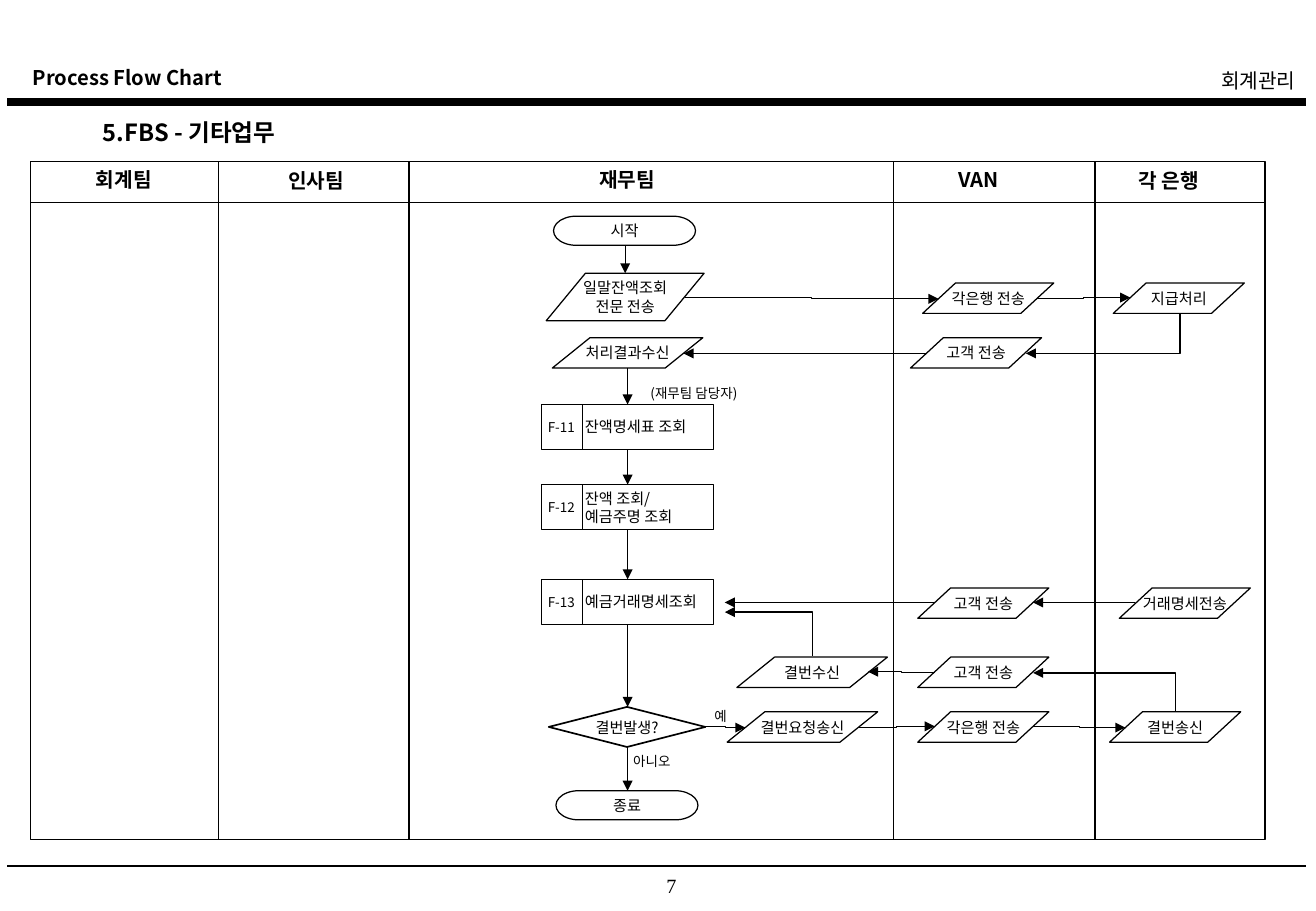
import pptx
import pptx.util
import pptx.dml.color
import pptx.enum.shapes
import pptx.enum.text
import pptx.oxml
import pptx.oxml.ns
from dataclasses import dataclass

Inches = pptx.util.Inches
Kind = pptx.enum.shapes.MSO_SHAPE
Line = pptx.enum.shapes.MSO_CONNECTOR
Align = pptx.enum.text.PP_ALIGN
Anchor = pptx.enum.text.MSO_ANCHOR
qn = pptx.oxml.ns.qn


@dataclass
class Theme:
    ink = pptx.dml.color.RGBColor(0, 0, 0)
    korean = "Noto Sans CJK KR"
    data = "Lato"
    number = "Times New Roman"
    title = 14
    heading = 12
    node = 9
    note = 8
    thin = 0.75
    medium = 1
    thick = 4.5


theme = Theme()
deck = pptx.Presentation()
deck.slide_width, deck.slide_height = Inches(10.84), Inches(7.5)
page = deck.slides.add_slide(deck.slide_layouts[6])


def write(kind, at, text, size, align=Align.CENTER, font=theme.korean, bold=False,
          weight=theme.thin, slant=None, pad=0.1):
    """Add text at a place, in an outlined shape or, when kind is None, a text box."""
    place = [Inches(value) for value in at]
    if kind is None:
        box = page.shapes.add_textbox(*place)
    else:
        box = page.shapes.add_shape(kind, *place)
        box.shadow.inherit = False
        box.fill.background()
        box.line.color.rgb = theme.ink
        box.line.width = pptx.util.Pt(weight)
        if slant:
            box.adjustments[0] = slant
    frame = box.text_frame
    layout = {"word_wrap": kind is None, "margin_left": Inches(pad), "margin_right": Inches(pad),
              "margin_top": Inches(0.05), "margin_bottom": Inches(0.05),
              "vertical_anchor": Anchor.TOP if kind is None else Anchor.MIDDLE}
    for name, value in layout.items():
        setattr(frame, name, value)
    for index, words in enumerate(text.split("\n") if text else []):
        para = frame.add_paragraph() if index else frame.paragraphs[0]
        para.alignment = align
        span = para.add_run()
        span.text = words
        for name, value in {"name": font, "size": pptx.util.Pt(size), "bold": bold}.items():
            setattr(span.font, name, value)
        span.font.color.rgb = theme.ink
        east = pptx.oxml.parse_xml(f'<a:ea {pptx.oxml.ns.nsdecls("a")} typeface="{theme.korean}"/>')
        span.font._element.find(qn("a:latin")).addnext(east)
    return box


def link(kind, x1, y1, x2, y2, weight=theme.thin, arrow=False):
    """Add a line between two points, with an arrowhead at its end if asked."""
    line = page.shapes.add_connector(kind, *[Inches(value) for value in (x1, y1, x2, y2)])
    line.line.color.rgb = theme.ink
    line.line.width = pptx.util.Pt(weight)
    if arrow:
        head = f'<a:tailEnd {pptx.oxml.ns.nsdecls("a")} type="triangle"/>'
        line.line._get_or_add_ln().append(pptx.oxml.parse_xml(head))
    effects = f'<a:effectLst {pptx.oxml.ns.nsdecls("a")}/>'
    line._element.spPr.append(pptx.oxml.parse_xml(effects))
    return line


# Page header and footer
write(None, (0.17, 0.49, 4.35, 0.3), "Process Flow Chart", theme.heading, Align.LEFT, bold=True)
write(None, (6.08, 0.51, 4.69, 0.5), "회계관리", theme.heading, Align.RIGHT)
link(Line.STRAIGHT, 0.06, 0.84, 10.76, 0.84, theme.thick)
link(Line.STRAIGHT, 0.06, 7.13, 10.76, 7.13, theme.medium)
write(None, (5.14, 7.14, 0.78, 0.27), "7", theme.heading, font=theme.number)
write(None, (0.75, 0.92, 2.3, 0.34), "5.FBS - 기타업무", theme.title, Align.LEFT, bold=True)

# Swimlanes
write(Kind.RECTANGLE, (0.25, 1.33, 10.17, 5.58), "", theme.node)
link(Line.STRAIGHT, 0.25, 1.67, 10.42, 1.67)
for x in (1.8, 3.37, 7.36, 9.02):
    link(Line.STRAIGHT, x, 1.33, x, 6.91)
for left, top, width, team in [(0.25, 1.33, 1.54, "회계팀"), (1.95, 1.34, 1.31, "인사팀"),
                               (4, 1.33, 2.33, "재무팀"), (7.1, 1.33, 1.92, "VAN"),
                               (8.88, 1.34, 1.5, "각 은행")]:
    write(None, (left, top, width, 0.3), team, theme.heading, bold=True)

# Start, end and decision
write(Kind.FLOWCHART_TERMINATOR, (4.56, 1.78, 1.17, 0.24), "시작", theme.node)
write(Kind.FLOWCHART_TERMINATOR, (4.58, 6.51, 1.17, 0.24), "종료", theme.node)
write(Kind.DIAMOND, (4.52, 5.82, 1.29, 0.33), "결번발생?", theme.node, weight=theme.medium)

# Data steps: the slant depends on the width
slants = {1.3: 0.826, 1.24: 1.241, 1.08: 1.083}
for left, top, width, height, step in [
        (4.5, 2.25, 1.3, 0.39, "일말잔액조회\n전문 전송"),
        (4.55, 2.78, 1.24, 0.25, "처리결과수신"),
        (7.6, 2.33, 1.08, 0.25, "각은행 전송"),
        (9.17, 2.33, 1.08, 0.25, "지급처리"),
        (7.5, 2.78, 1.08, 0.25, "고객 전송"),
        (7.56, 4.84, 1.08, 0.25, "고객 전송"),
        (9.22, 4.84, 1.08, 0.25, "거래명세전송"),
        (6.07, 5.41, 1.24, 0.25, "결번수신"),
        (7.56, 5.41, 1.08, 0.25, "고객 전송"),
        (5.99, 5.86, 1.24, 0.25, "결번요청송신"),
        (7.56, 5.86, 1.08, 0.25, "각은행 전송"),
        (9.14, 5.86, 1.08, 0.25, "결번송신")]:
    write(Kind.PARALLELOGRAM, (left, top, width, height), step, theme.node,
          font=theme.data, slant=slants[width])

# Numbered processes
for top, code, process in [(3.33, "F-11", "잔액명세표 조회"),
                           (3.99, "F-12", "잔액 조회/\n예금주명 조회"),
                           (4.77, "F-13", "예금거래명세조회")]:
    write(Kind.FLOWCHART_PROCESS, (4.46, top, 1.42, 0.37), "", theme.node)
    link(Line.STRAIGHT, 4.8, top, 4.8, top + 0.37)
    name_box = write(None, (4.72, top, 1.25, 0.37), process, theme.node, Align.LEFT)
    code_box = write(None, (4.46, top, 0.33, 0.37), code, theme.note, pad=0)
    for box in (name_box, code_box):
        box.text_frame.vertical_anchor = Anchor.MIDDLE

# Notes beside the arrows
write(None, (5.26, 3.12, 1.1, 0.24), "(재무팀 담당자)", theme.note, Align.LEFT)
write(None, (4.93, 6.15, 0.88, 0.24), "아니오", theme.note)
write(None, (5.77, 5.78, 0.33, 0.24), "예", theme.note)

# Straight arrows: down the finance lane, then across the lanes
for x, start, end in [(5.15, 2.02, 2.25), (5.17, 3.03, 3.33), (5.17, 3.7, 3.99),
                      (5.17, 4.36, 4.77), (5.17, 5.14, 5.82), (5.17, 6.15, 6.51)]:
    link(Line.STRAIGHT, x, start, x, end, arrow=True)
for y, start, end in [(2.91, 7.63, 5.63), (4.96, 9.35, 8.51), (4.96, 7.7, 5.97)]:
    link(Line.STRAIGHT, start, y, end, y, arrow=True)

# Stepped arrows between lanes
for ends in [(5.64, 2.45, 7.73, 2.46), (8.54, 2.46, 9.31, 2.45), (5.81, 5.98, 6.14, 5.99),
             (7.07, 5.99, 7.7, 5.98), (8.51, 5.98, 9.27, 5.99), (7.7, 5.54, 7.15, 5.53)]:
    link(Line.ELBOW, *ends, arrow=True)

# Corner arrows: vertical first, then left, so each is a turned one-bend connector
for x1, y1, x2, y2 in [(9.72, 2.58, 8.45, 2.91), (9.68, 5.86, 8.51, 5.54),
                       (6.69, 5.4, 5.97, 5.04)]:
    middle_x, middle_y = (x1 + x2) / 2, (y1 + y2) / 2
    half_width, half_height = abs(y2 - y1) / 2, (x1 - x2) / 2
    rise = half_height if y2 > y1 else -half_height
    corner = link(Line.ELBOW, middle_x - half_width, middle_y - rise,
                  middle_x + half_width, middle_y + rise, arrow=True)
    properties = corner._element.spPr
    properties.find(qn("a:prstGeom")).set("prst", "bentConnector2")
    properties.find(qn("a:xfrm")).set("rot", str((90 if y2 > y1 else 270) * 60000))

deck.save("out.pptx")
